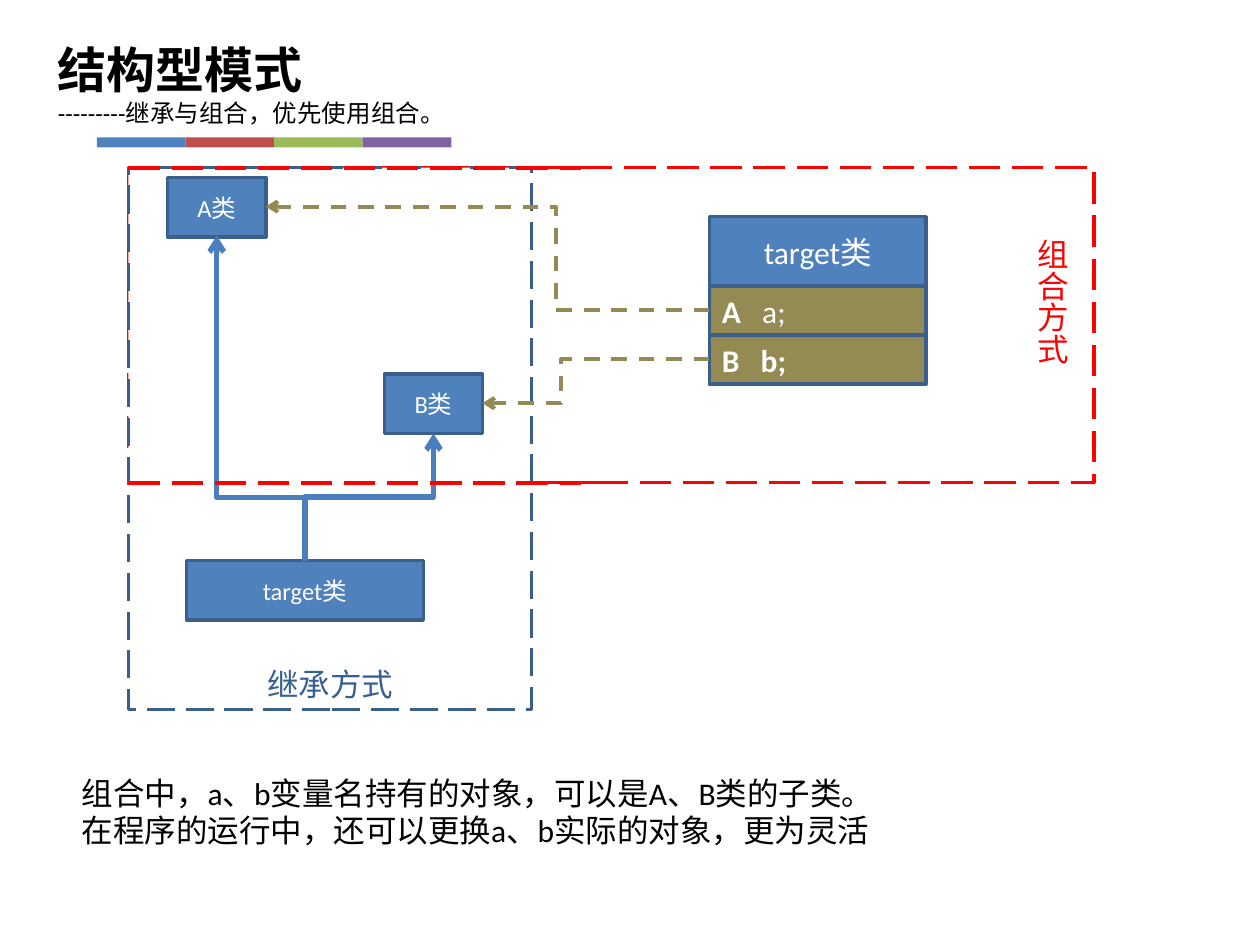
from pptx import Presentation
from pptx.dml.color import RGBColor
from pptx.enum.dml import MSO_LINE
from pptx.enum.shapes import MSO_CONNECTOR, MSO_SHAPE
from pptx.enum.text import MSO_ANCHOR, MSO_AUTO_SIZE, PP_ALIGN
from pptx.oxml.ns import qn
from pptx.util import Inches, Pt
from lxml import etree

RECTANGLE = MSO_SHAPE.RECTANGLE
ELBOW, STRAIGHT = MSO_CONNECTOR.ELBOW, MSO_CONNECTOR.STRAIGHT
DASH, LONG_DASH = MSO_LINE.DASH, MSO_LINE.LONG_DASH
LEFT, CENTER = PP_ALIGN.LEFT, PP_ALIGN.CENTER
TOP, MIDDLE, BOTTOM = MSO_ANCHOR.TOP, MSO_ANCHOR.MIDDLE, MSO_ANCHOR.BOTTOM

THEME = {
    "font": "Calibri", "title": 28, "body": 18, "small": 14,
    "white": "FFFFFF", "black": "000000", "red": "FF0000",
    "blue": "4F81BD", "edge": "3A5F8C", "arrow": "4B7EBC",
    "label": "376092", "olive": "948A54",
    "bars": ("4F81BD", "C0504D", "9BBB59", "8064A2"),
}

# Content: each line of text is a list of (text, bold) spans
TITLE = [("结构型模式", True)]
SUBTITLE = [("---------继承与组合，优先使用组合。", False)]
NOTES = [
    [("组合中，a、b变量名持有的对象，可以是A、B类的子类。", False)],
    [("在程序的运行中，还可以更换a、b实际的对象，更为灵活", False)],
]
INHERITANCE, COMPOSITION = "继承方式", "组合方式"
CLASSES = [  # text, left, top, width
    ("target类", 1.48, 4.45, 1.88),
    ("A类", 1.33, 1.41, 0.78),
    ("B类", 3.05, 2.97, 0.78),
]
CLASS_HEIGHT = 0.47
TARGET_LEFT, TARGET_TOP, TARGET_WIDTH = 5.63, 1.72, 1.72
TARGET_ROWS = [  # spans, height, fill, alignment
    ([("target类", False)], 0.55, "blue", CENTER),
    ([("A", True), ("   a;", False)], 0.39, "olive", LEFT),
    ([("B   b;", True)], 0.39, "olive", LEFT),
]
INHERIT_LINKS = [  # start, end, share of the way to the bend
    ((2.42, 4.45), (1.72, 1.87), 0.195),
    ((2.42, 4.45), (3.44, 3.44), 0.5),
]
COMPOSE_LINKS = [
    ((5.63, 2.46), (2.11, 1.64), 0.346),
    ((5.63, 2.85), (3.83, 3.2), 0.653),
]
FRAME_LEFT, FRAME_TOP, FRAME_HEIGHT = 1.02, 1.33, 2.5


def color(name):
    return RGBColor.from_string(THEME.get(name, name))


def style_line(line, name, width, dash=None):
    line.color.rgb = color(name)
    line.width = Pt(width)
    if dash:
        line.dash_style = dash


def write(box, text, size="body", ink="white", align=LEFT, anchor=TOP):
    """Write lines of spans; size may be one name or one per line."""
    frame = box.text_frame
    frame.vertical_anchor = anchor
    sizes = [size] * len(text) if isinstance(size, str) else size
    for index, (spans, line_size) in enumerate(zip(text, sizes)):
        para = frame.add_paragraph() if index else frame.paragraphs[0]
        para.alignment = align
        for words, bold in spans:
            span = para.add_run()
            span.text = words
            span.font.name = THEME["font"]
            span.font.size = Pt(THEME[line_size])
            span.font.bold = bold
            span.font.color.rgb = color(ink)


def add_box(page, left, top, width, height, fill=None, edge=None, weight=2, dash=None):
    box = page.shapes.add_shape(RECTANGLE, *map(Inches, (left, top, width, height)))
    box.shadow.inherit = False
    if fill:
        box.fill.solid()
        box.fill.fore_color.rgb = color(fill)
    else:
        box.fill.background()
    if edge:
        style_line(box.line, edge, weight, dash)
    else:
        box.line.fill.background()
    return box


def add_textbox(page, left, top, width, height, text, margin=None, **text_format):
    box = page.shapes.add_textbox(*map(Inches, (left, top, width, height)))
    frame = box.text_frame
    frame.word_wrap = True
    frame.auto_size = MSO_AUTO_SIZE.SHAPE_TO_FIT_TEXT
    if margin is not None:
        frame.margin_left = frame.margin_right = Inches(margin)
        frame.margin_top = frame.margin_bottom = Inches(margin)
    write(box, text, ink="black", **text_format)


def add_link(page, kind, start, end, ink, weight, dash=None):
    link = page.shapes.add_connector(kind, *map(Inches, (*start, *end)))
    style_line(link.line, ink, weight, dash)
    etree.SubElement(link._element.spPr, qn("a:effectLst"))
    return link


def add_elbow(page, start, end, bend, ink, weight, dash=None, upward=False):
    """Draw a bent arrow; an upward one is laid out sideways, then turned."""
    if upward:
        (x1, y1), (x2, y2) = start, end
        middle_x, middle_y = (x1 + x2) / 2, (y1 + y2) / 2
        reach, shift = (y1 - y2) / 2, (x2 - x1) / 2
        start = (middle_x - reach, middle_y - shift)
        end = (middle_x + reach, middle_y + shift)
    link = add_link(page, ELBOW, start, end, ink, weight, dash)
    properties = link._element.spPr
    if upward:
        properties.find(qn("a:xfrm")).set("rot", str(270 * 60000))
    geometry = properties.find(qn("a:prstGeom"))
    guides = geometry.find(qn("a:avLst"))
    if guides is None:
        guides = etree.SubElement(geometry, qn("a:avLst"))
    etree.SubElement(guides, qn("a:gd"), name="adj1", fmla=f"val {round(bend * 100000)}")
    etree.SubElement(properties.find(qn("a:ln")), qn("a:tailEnd"), type="arrow")


def main():
    deck = Presentation()
    deck.slide_width, deck.slide_height = Inches(10), Inches(7.5)
    page = deck.slides.add_slide(deck.slide_layouts[6])

    # Dashed frames around the two approaches
    add_box(page, FRAME_LEFT, FRAME_TOP, 7.66, FRAME_HEIGHT, "white", "red", 2.25, LONG_DASH)
    frame = add_box(page, FRAME_LEFT, FRAME_TOP, 3.2, 4.3, "white", "edge", 2, LONG_DASH)
    write(frame, [[(INHERITANCE, False)]], ink="label", align=CENTER, anchor=BOTTOM)

    # Colour bar under the title
    for index, bar in enumerate(THEME["bars"]):
        add_box(page, 0.77 + index * 0.703, 1.09, 0.703, 0.08, bar)

    # Class boxes
    for name, left, top, width in CLASSES:
        box = add_box(page, left, top, width, CLASS_HEIGHT, "blue", "edge")
        write(box, [[(name, False)]], size="small", align=CENTER, anchor=MIDDLE)

    # Composed class with its members
    top = TARGET_TOP
    for spans, height, fill, align in TARGET_ROWS:
        box = add_box(page, TARGET_LEFT, top, TARGET_WIDTH, height, fill, "edge")
        write(box, [spans], align=align, anchor=MIDDLE)
        top += height

    # Arrows
    for start, end, bend in INHERIT_LINKS:
        add_elbow(page, start, end, bend, "arrow", 3, upward=True)
    for start, end, bend in COMPOSE_LINKS:
        add_elbow(page, start, end, bend, "olive", 2.25, DASH)

    # Red frame edges that pass over the inheritance frame
    for y in (FRAME_TOP, FRAME_TOP + FRAME_HEIGHT):
        add_link(page, STRAIGHT, (FRAME_LEFT, y), (4.61, y), "red", 2.25, LONG_DASH)

    # Vertical label
    label = add_box(page, 8.05, 1.8, 0.5, 1.11, edge="white", weight=0.75)
    label.text_frame.word_wrap = False
    label.text_frame.auto_size = MSO_AUTO_SIZE.SHAPE_TO_FIT_TEXT
    label.text_frame._txBody.bodyPr.set("vert", "eaVert")
    write(label, [[(COMPOSITION, False)]], ink="red")

    # Notes and title
    add_textbox(page, 0.55, 6.09, 8.2, 0.71, NOTES)
    add_textbox(page, 0.46, 0.31, 8.06, 0.71, [TITLE, SUBTITLE], margin=0,
                size=("title", "small"))

    deck.save("out.pptx")


if __name__ == "__main__":
    main()
